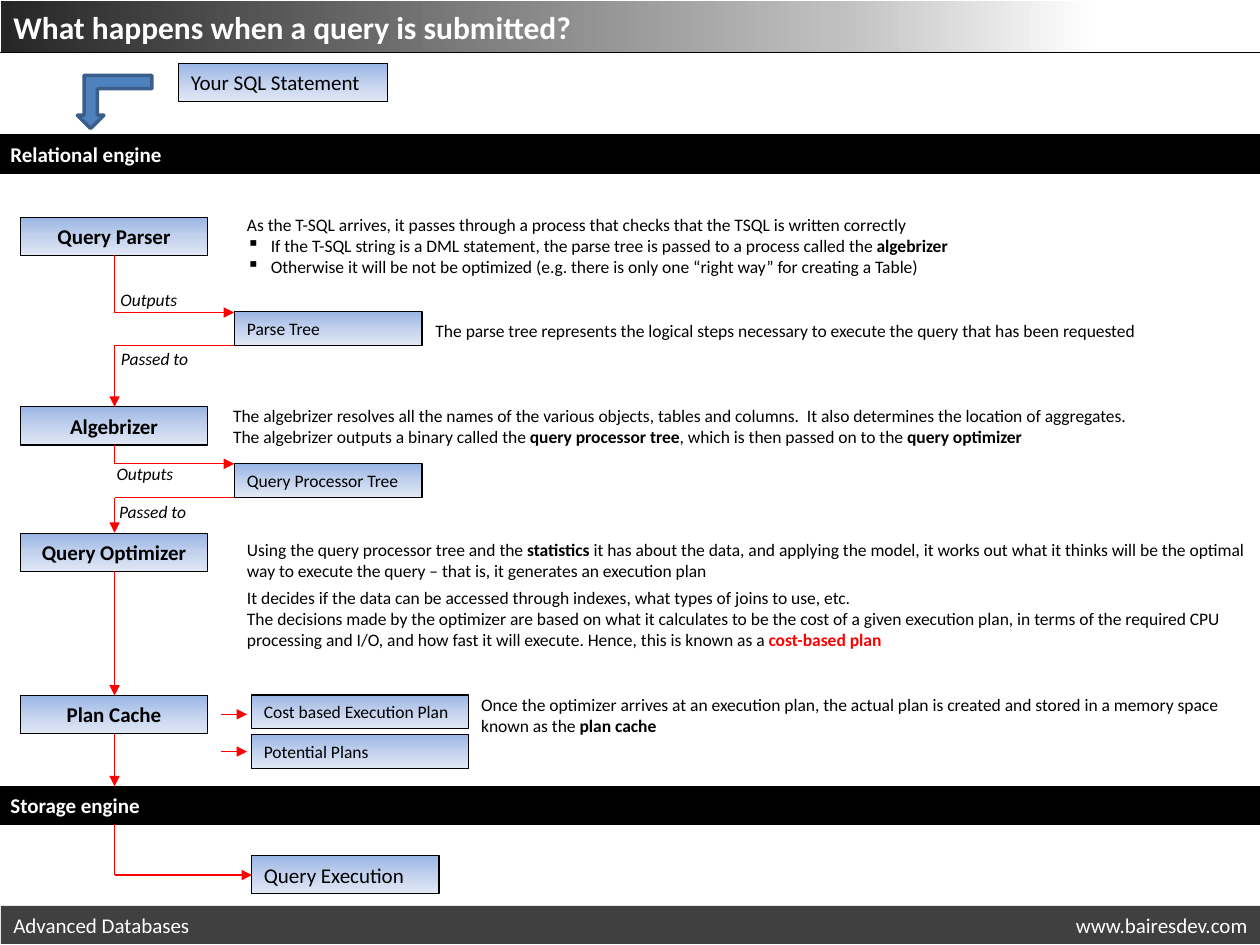
from itertools import pairwise
from lxml.etree import SubElement
from pptx import Presentation
from pptx.dml.color import RGBColor
from pptx.enum.shapes import MSO_CONNECTOR, MSO_SHAPE
from pptx.enum.text import MSO_AUTO_SIZE, PP_ALIGN
from pptx.oxml.ns import qn
from pptx.util import Cm, Pt

LEFT, CENTER, RIGHT = PP_ALIGN.LEFT, PP_ALIGN.CENTER, PP_ALIGN.RIGHT
BLUE = [(0, "9AB5E4"), (50, "C2D1ED"), (100, "E1E8F5")]
GRAY = [(0, "262626"), (66, "BFBFBF"), (87, "FFFFFF")]
BULLET = "▪"
color = RGBColor.from_string

presentation = Presentation()
presentation.slide_width = Cm(25.4)
presentation.slide_height = Cm(19.05)
slide = presentation.slides.add_slide(presentation.slide_layouts[6])
shapes = slide.shapes


def add_text(shape, lines, size, font_color="000000", bold=False, italic=False, align=LEFT):
    frame = shape.text_frame
    frame.word_wrap = True
    frame.auto_size = MSO_AUTO_SIZE.SHAPE_TO_FIT_TEXT
    for index, line in enumerate(lines):
        paragraph = frame.add_paragraph() if index else frame.paragraphs[0]
        paragraph.alignment = align
        if line.startswith(BULLET):
            line = line.removeprefix(BULLET)
            properties = paragraph._p.get_or_add_pPr()
            properties.set("marL", str(Cm(0.48)))
            properties.set("indent", str(-Cm(0.48)))
            SubElement(properties, qn("a:buChar")).set("char", BULLET)
        for position, part in enumerate(line.split("**")):
            if part:
                run = paragraph.add_run()
                run.text = part
                run.font.name = "Calibri"
                run.font.size = Pt(size)
                run.font.bold = bold or position % 2 == 1
                run.font.italic = italic
                run.font.color.rgb = color(font_color)


def add_shape(kind, left, top, width, height, fill, line=None, line_width=0.75, angle=270):
    shape = shapes.add_shape(kind, Cm(left), Cm(top), Cm(width), Cm(height))
    shape.shadow.inherit = False
    if isinstance(fill, str):
        shape.fill.solid()
        shape.fill.fore_color.rgb = color(fill)
    else:
        shape.fill.gradient()
        shape.fill.gradient_angle = angle
        stops = shape.element.spPr.find(".//" + qn("a:gsLst"))
        for stop in list(stops):
            stops.remove(stop)
        for percent, stop_color in fill:
            stop = SubElement(stops, qn("a:gs"), pos=str(percent * 1000))
            SubElement(stop, qn("a:srgbClr"), val=stop_color)
    if line:
        shape.line.color.rgb = color(line)
        shape.line.width = Pt(line_width)
    else:
        shape.line.fill.background()
    return shape


for text, top in [("Relational engine", 2.72), ("Storage engine", 15.85)]:
    bar = add_shape(MSO_SHAPE.RECTANGLE, -0.04, top, 25.45, 0.77, "000000", "000000")
    add_text(bar, [text], 12, "FFFFFF", bold=True)

stages = [("Query Parser", 4.38), ("Algebrizer", 8.2), ("Query Optimizer", 10.75), ("Plan Cache", 14.02)]
for text, top in stages:
    stage = add_shape(MSO_SHAPE.RECTANGLE, 0.41, top, 3.78, 0.77, BLUE, "000000")
    add_text(stage, [text], 12, bold=True, align=CENTER)

products = [
    ("Your SQL Statement", 3.6, 1.28, 4.22, 0.77, 12),
    ("Parse Tree", 4.73, 6.28, 3.78, 0.68, 10),
    ("Query Processor Tree", 4.73, 9.35, 3.78, 0.68, 10),
    ("Cost based Execution Plan", 5.07, 14.01, 4.37, 0.68, 10),
    ("Potential Plans", 5.07, 14.81, 4.37, 0.68, 10),
    ("Query Execution", 5.07, 17.25, 3.78, 0.77, 12),
]
for text, left, top, width, height, size in products:
    product = add_shape(MSO_SHAPE.RECTANGLE, left, top, width, height, BLUE, "000000")
    add_text(product, [text], size)

explanations = [
    (4.73, 4.19, 20.68, 1.54, [
        "As the T-SQL arrives, it passes through a process that checks that the TSQL is written correctly",
        BULLET + "If the T-SQL string is a DML statement, the parse tree is passed to a process called the **algebrizer**",
        BULLET + "Otherwise it will be not be optimized (e.g. there is only one “right way” for creating a Table)"]),
    (8.53, 6.32, 16.87, 0.68, [
        "The parse tree represents the logical steps necessary to execute the query that has been requested"]),
    (4.45, 8.04, 20.68, 1.11, [
        "The algebrizer resolves all the names of the various objects, tables and columns.  "
        "It also determines the location of aggregates.",
        "The algebrizer outputs a binary called the **query processor tree**, "
        "which is then passed on to the **query optimizer**"]),
    (4.73, 10.74, 20.68, 1.11, [
        "Using the query processor tree and the **statistics **it has about the data, and applying the model, "
        "it works out what it thinks will be the optimal way to execute the query – that is, "
        "it generates an execution plan"]),
    (9.45, 13.87, 15.67, 1.11, [
        "Once the optimizer arrives at an execution plan, the actual plan is created and stored "
        "in a memory space known as the **plan cache**"]),
    (4.73, 11.71, 20.68, 1.54, [
        "It decides if the data can be accessed through indexes, what types of joins to use, etc.",
        "The decisions made by the optimizer are based on what it calculates to be the cost of a given "
        "execution plan, in terms of the required CPU processing and I/O, and how fast it will execute. "
        "Hence, this is known as a **cost-based plan**"]),
]
for left, top, width, height, lines in explanations:
    explanation = shapes.add_textbox(Cm(left), Cm(top), Cm(width), Cm(height))
    add_text(explanation, lines, 10)
cost_based_plan = explanation.text_frame.paragraphs[-1].runs[-1]
cost_based_plan.font.color.rgb = color("FF0000")

labels = [("Outputs", 2.18, 5.7), ("Passed to", 2.19, 6.89), ("Outputs", 2.1, 9.2), ("Passed to", 2.15, 9.97)]
for text, left, top in labels:
    label = shapes.add_textbox(Cm(left), Cm(top), Cm(1.96), Cm(0.68))
    add_text(label, [text], 10, italic=True)

statement_arrow = add_shape(MSO_SHAPE.BENT_UP_ARROW, 1.56, 1.52, 1.5, 1.07, "4F81BD", "3A5F8C", 2)
statement_arrow.rotation = 180

title = add_shape(MSO_SHAPE.RECTANGLE, 0.02, 0.02, 25.4, 1.03, GRAY, angle=0)
add_text(title, ["What happens when a query is submitted?"], 18, "FFFFFF", bold=True)

footers = [("www.bairesdev.com", 20.7, 4.7, RIGHT), ("Advanced Databases", 0.02, 20.68, LEFT)]
for text, left, width, align in footers:
    footer = add_shape(MSO_SHAPE.RECTANGLE, left, 18.26, width, 0.77, "404040")
    add_text(footer, [text], 12, "FFFFFF", align=align)

flow = 2.31
routes = [
    [(flow, 5.14), (flow, 6.3), (4.72, 6.3)],
    [(4.72, 6.96), (flow, 6.96), (flow, 8.2)],
    [(flow, 8.97), (flow, 9.35), (4.72, 9.35)],
    [(4.72, 10.03), (flow, 10.03), (flow, 10.74)],
    [(flow, 11.51), (flow, 14.02)],
    [(flow, 14.79), (flow, 15.85)],
    [(flow, 16.62), (flow, 17.64), (5.08, 17.64)],
    [(4.46, 14.4), (4.98, 14.4)],
    [(4.46, 15.15), (4.98, 15.15)],
]
segments = [(start, end, "FF0000", 0.75, end == route[-1]) for route in routes for start, end in pairwise(route)]
segments.append(((0, 1.06), (25.43, 1.06), "000000", 0.5, False))
for start, end, line_color, line_width, has_arrow in segments:
    connector = shapes.add_connector(MSO_CONNECTOR.STRAIGHT, *map(Cm, start + end))
    connector.line.color.rgb = color(line_color)
    connector.line.width = Pt(line_width)
    if has_arrow:
        SubElement(connector.line._get_or_add_ln(), qn("a:tailEnd"), type="triangle")
    SubElement(connector.element.spPr, qn("a:effectLst"))

presentation.save("out.pptx")
